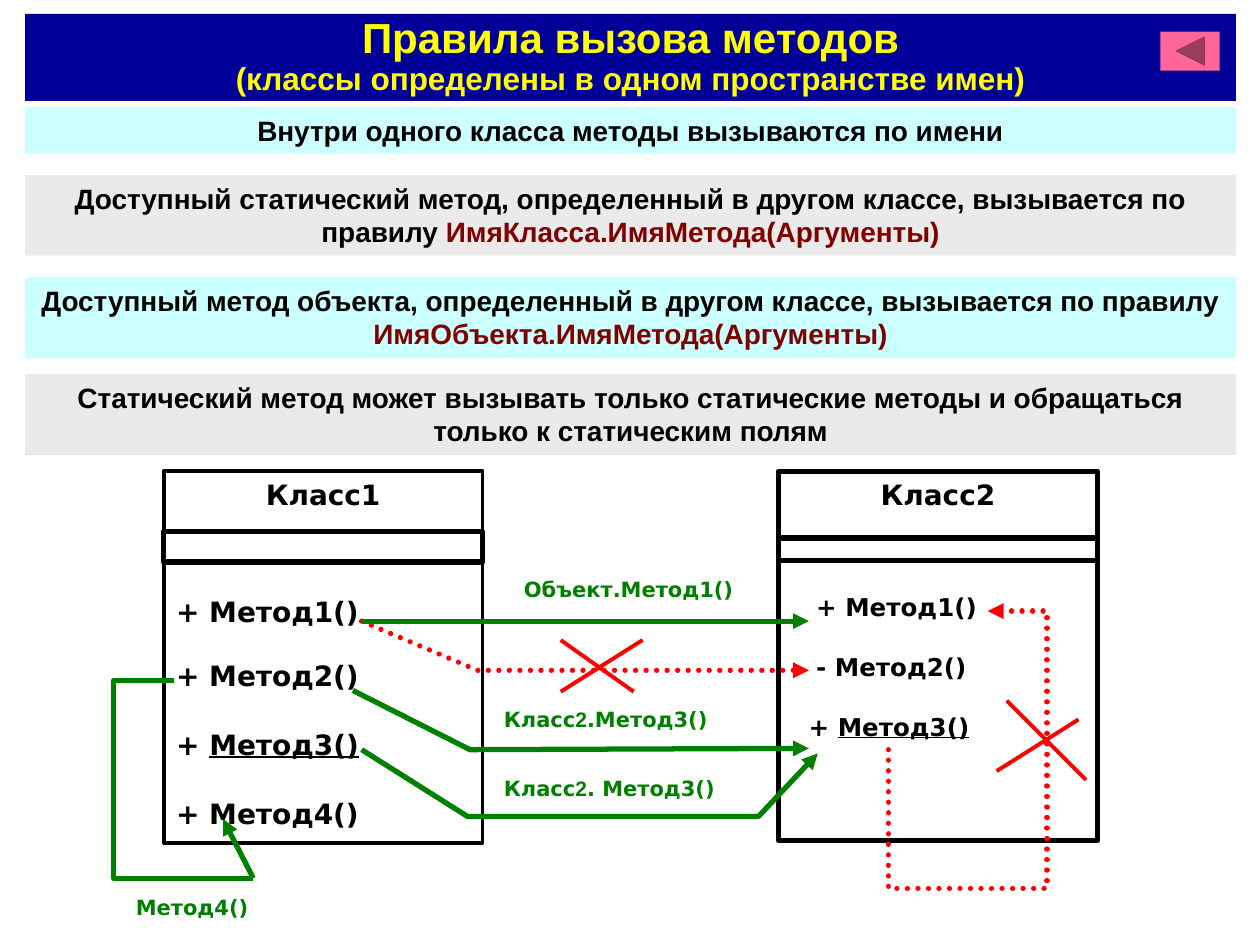
from dataclasses import dataclass

from lxml import etree
from pptx import Presentation
from pptx import util as u
from pptx.dml.color import RGBColor
from pptx.enum import dml, shapes, text
from pptx.oxml.ns import qn


@dataclass(frozen=True)
class Theme:
    navy: str = "000099"
    yellow: str = "FFFF00"
    pink: str = "FF6699"
    white: str = "FFFFFF"
    black: str = "000000"
    maroon: str = "800000"
    green: str = "008000"
    red: str = "FF0000"
    aqua: str = "CCFFFF"
    gray: str = "EAEAEA"
    sans: str = "Arial"
    code: str = "DejaVu Sans"
    title: int = 24
    subtitle: int = 18
    body: int = 16
    method: int = 14
    label: int = 12
    thin: float = 2.25
    thick: float = 3


THEME = Theme()
WIDTH, HEIGHT = u.Inches(10), u.Inches(7.5)
COLUMNS, ROWS = 100, 75
BAND_LEFT, BAND_WIDTH = 2, 96.1
CLASS_WIDTH = 25.3


def col(count):
    return round(WIDTH * count / COLUMNS)


def row(count):
    return round(HEIGHT * count / ROWS)


def area(left, top, width, height):
    return col(left), row(top), col(width), row(height)


def rgb(color):
    return RGBColor.from_string(color)


def add_span(para, words, size, color=THEME.black, font=THEME.sans, underline=None):
    span = para.add_run()
    span.text = words
    span.font.size = u.Pt(size)
    span.font.name = font
    span.font.bold = True
    span.font.underline = underline
    span.font.color.rgb = rgb(color)


def add_box(page, place, fill, line=None, preset=shapes.MSO_SHAPE.RECTANGLE):
    """Add a filled shape; line is its black outline's width in points."""
    box = page.shapes.add_shape(preset, *area(*place))
    box.shadow.inherit = False
    box.fill.solid()
    box.fill.fore_color.rgb = rgb(fill)
    if line:
        box.line.color.rgb = rgb(THEME.black)
        box.line.width = u.Pt(line)
    else:
        box.line.fill.background()
    box.text_frame.word_wrap = True
    box.text_frame.vertical_anchor = text.MSO_ANCHOR.TOP
    return box


def add_title(page):
    box = add_box(page, (BAND_LEFT, 1.1, BAND_WIDTH, 6.9), THEME.navy)
    box.text_frame.vertical_anchor = text.MSO_ANCHOR.MIDDLE
    para = box.text_frame.paragraphs[0]
    para.alignment = text.PP_ALIGN.CENTER
    para.line_spacing = 0.9
    add_span(para, "Правила вызова методов", THEME.title, THEME.yellow)
    para.add_line_break()
    add_span(para, "(классы определены в одном пространстве имен)",
             THEME.subtitle, THEME.yellow)
    add_box(page, (92.1, 2.5, 4.7, 3.1), THEME.pink,
            preset=shapes.MSO_SHAPE.ACTION_BUTTON_BACK_OR_PREVIOUS)


def add_rule(page, top, height, fill, words, pattern=""):
    """Add a band with one rule; the call pattern is highlighted."""
    box = add_box(page, (BAND_LEFT, top, BAND_WIDTH, height), fill)
    para = box.text_frame.paragraphs[0]
    para.alignment = text.PP_ALIGN.CENTER
    add_span(para, words, THEME.body)
    if pattern:
        add_span(para, pattern, THEME.body, THEME.maroon)


def add_class(page, name, left, sections, lines, size, methods):
    """Add a class diagram.

    sections: (top, height) of name, fields and methods; lines: their outlines;
    methods: (sign, name, is_static, indent in columns, points before).
    """
    name_box, _, method_box = [
        add_box(page, (left, top, CLASS_WIDTH, height), THEME.white, line)
        for (top, height), line in zip(sections, lines)]
    heading = name_box.text_frame.paragraphs[0]
    heading.alignment = text.PP_ALIGN.CENTER
    add_span(heading, name, THEME.body, font=THEME.code)

    frame = method_box.text_frame
    frame.margin_top = row(2.5)
    for index, (sign, method, static, indent, gap) in enumerate(methods):
        para = frame.add_paragraph() if index else frame.paragraphs[0]
        para.alignment = text.PP_ALIGN.LEFT
        para.space_before = u.Pt(gap)
        para._p.get_or_add_pPr().set("marL", str(col(indent)))
        add_span(para, sign + " ", size, font=THEME.code)
        add_span(para, method, size, font=THEME.code, underline=static)


def style_line(shape, color, width, arrow=False, dotted=False):
    shape.line.color.rgb = rgb(color)
    shape.line.width = u.Pt(width)
    outline = shape.line._get_or_add_ln()
    if dotted:
        shape.line.dash_style = dml.MSO_LINE.ROUND_DOT
        outline.set("cap", "rnd")
    etree.SubElement(outline, qn("a:round"))
    if arrow:
        etree.SubElement(outline, qn("a:tailEnd"), type="triangle")


def add_line(page, start, end, color, width, arrow=False):
    line = page.shapes.add_connector(
        shapes.MSO_CONNECTOR.STRAIGHT,
        col(start[0]), row(start[1]), col(end[0]), row(end[1]))
    style_line(line, color, width, arrow)
    etree.SubElement(line._element.spPr, qn("a:effectLst"))


def add_route(page, points, color, arrow=True, dotted=False):
    """Add an open bent line through the given grid points."""
    start, *rest = [(col(x), row(y)) for x, y in points]
    builder = page.shapes.build_freeform(*start)
    builder.add_line_segments(rest, close=False)
    route = builder.convert_to_shape()
    route.shadow.inherit = False
    route.fill.background()
    style_line(route, color, THEME.thick, arrow, dotted)


def add_label(page, left, top, width, *parts):
    """Add a call label; bare digits are set in the sans font."""
    box = page.shapes.add_textbox(*area(left, top, width, 3.4))
    box.text_frame.word_wrap = True
    para = box.text_frame.paragraphs[0]
    for part in parts:
        font = THEME.sans if part.isdigit() else THEME.code
        add_span(para, part, THEME.label, THEME.green, font)


def main():
    deck = Presentation()
    deck.slide_width, deck.slide_height = WIDTH, HEIGHT
    page = deck.slides.add_slide(deck.slide_layouts[6])
    green, red, thin, thick = THEME.green, THEME.red, THEME.thin, THEME.thick

    add_title(page)
    add_rule(page, 8.5, 3.7, THEME.aqua, "Внутри одного класса методы вызываются по имени")
    add_rule(page, 13.9, 6.4, THEME.gray,
             "Доступный статический метод, определенный в другом классе, вызывается по правилу ",
             "ИмяКласса.ИмяМетода(Аргументы)")
    add_rule(page, 22, 6.4, THEME.aqua,
             "Доступный метод объекта, определенный в другом классе, вызывается по правилу ",
             "ИмяОбъекта.ИмяМетода(Аргументы)")
    add_rule(page, 29.7, 6.4, THEME.gray,
             "Статический метод может вызывать только статические методы "
             "и обращаться только к статическим полям")

    add_class(page, "Класс1", 13, [(37.4, 5.3), (42.2, 2.4), (44.7, 22.2)],
              [thin, thick, thin], THEME.body,
              [("+", "Метод1()", False, 0, 0), ("+", "Метод2()", False, 0, 17.5),
               ("+", "Метод3()", True, 0, 20), ("+", "Метод4()", False, 0, 20)])
    add_class(page, "Класс2", 61.8, [(37.4, 5.3), (42.7, 2), (44.5, 22.2)],
              [thick] * 3, THEME.method,
              [("+", "Метод1()", False, 2, 0), ("-", "Метод2()", False, 2, 17.5),
               ("+", "Метод3()", True, 1.4, 17.5)])

    add_route(page, [(28.7, 49.3), (37.9, 53.2), (64.2, 53.2)], red, dotted=True)
    add_route(page, [(28, 54.8), (37.3, 59.5), (64.2, 59.4)], green)
    add_route(page, [(28.7, 59.5), (37.1, 64.8), (60.2, 64.8), (64.9, 59.8)], green)
    add_route(page, [(13.8, 54), (9, 54), (9, 69.7), (20.1, 69.7)], green, arrow=False)
    add_route(page, [(70.5, 59.5), (70.5, 70.5), (83.1, 70.5), (83.1, 48.5), (78.4, 48.5)],
              red, dotted=True)
    add_line(page, (28.7, 49.3), (64.2, 49.3), green, thick, arrow=True)
    add_line(page, (20.1, 69.7), (17.7, 65), green, thick, arrow=True)
    for start, end in [((44.5, 50.8), (50.3, 54.9)), ((44.5, 54.9), (51, 50.8)),
                       ((79.1, 61.2), (85.6, 57.1)), ((79.9, 55.6), (86.2, 61.9))]:
        add_line(page, start, end, red, thin)

    add_label(page, 40.6, 45.3, 18.9, "Объект.Метод1()")
    add_label(page, 39, 55.6, 19.7, "Класс", "2", ".Метод3()")
    add_label(page, 39, 61.1, 21, "Класс", "2", ". Метод3()")
    add_label(page, 9.8, 70.5, 21, "Метод4()")
    deck.save("out.pptx")


if __name__ == "__main__":
    main()
